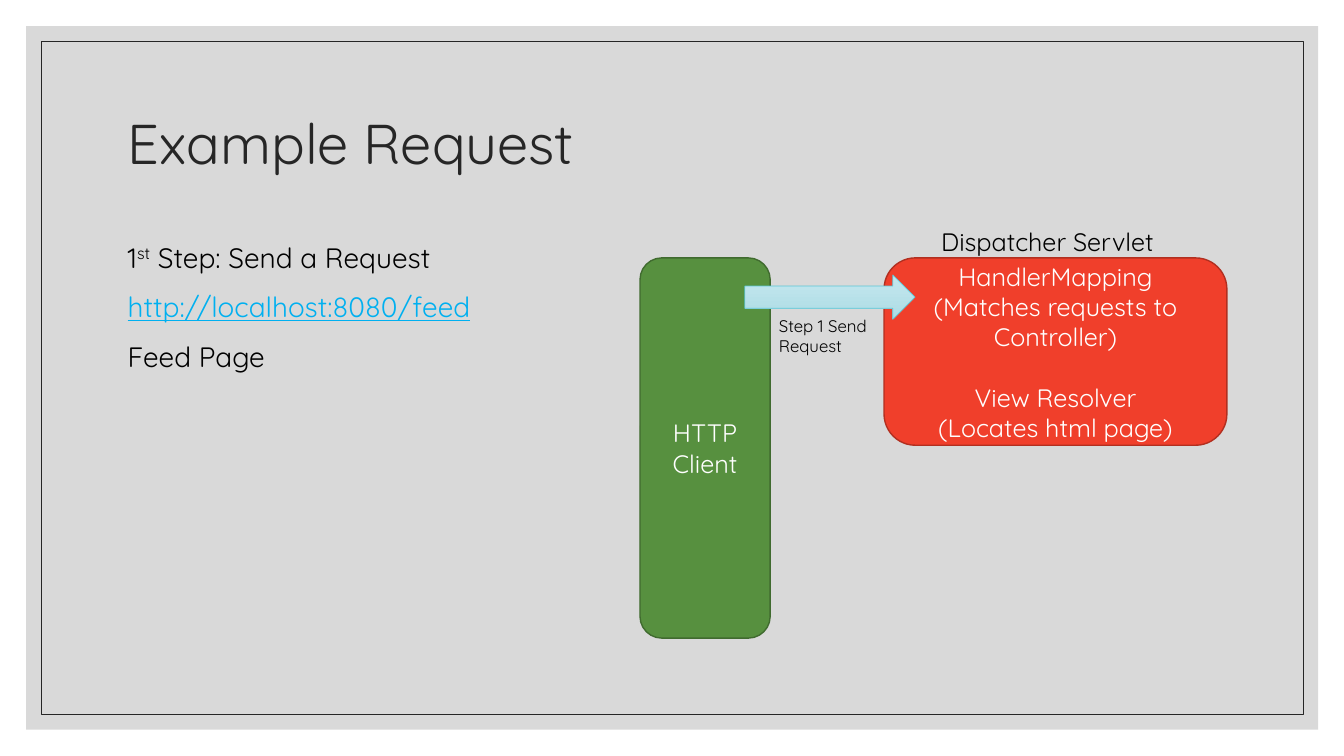
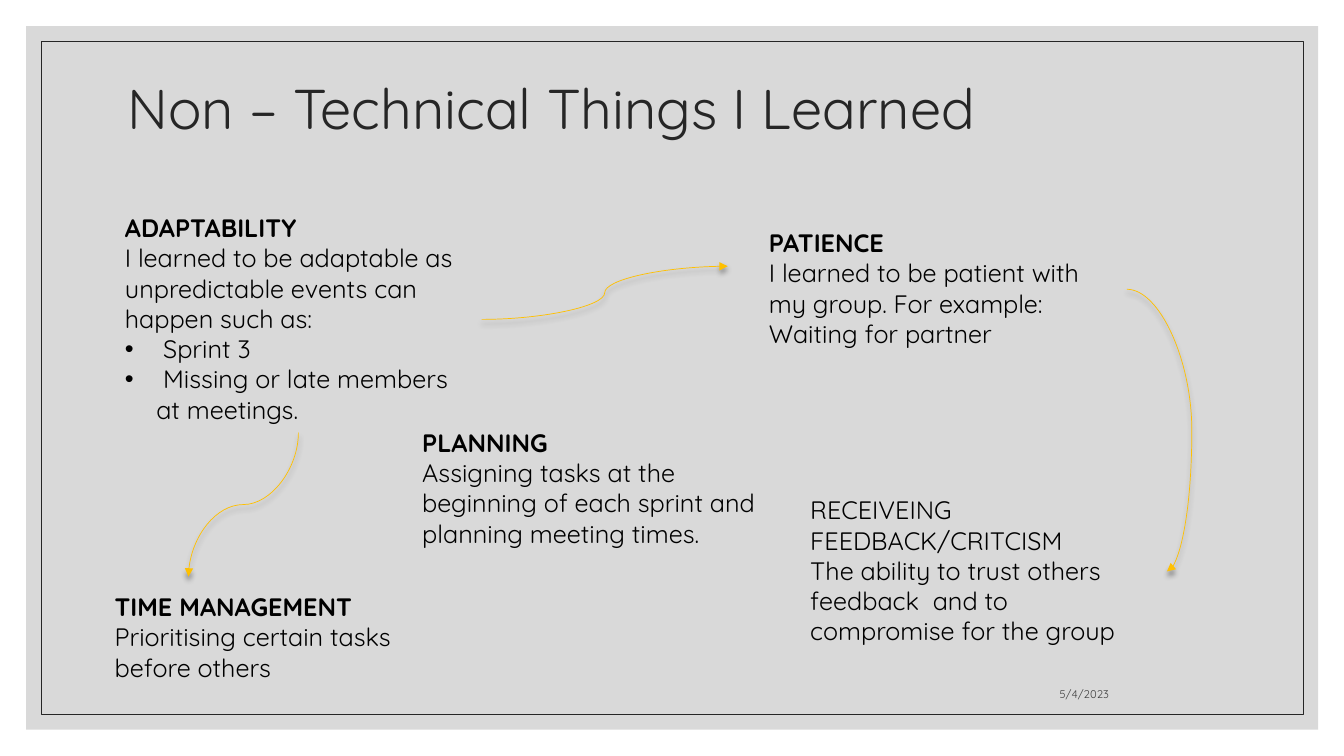
from lxml import etree
from pptx import Presentation
from pptx.dml.color import RGBColor
from pptx.enum import shapes, text
from pptx.oxml import ns, parse_xml
from pptx.util import Cm, Pt

FONT = "Quicksand"
COLORS = {
    "backdrop": "D9D9D9", "frame": "262626", "title": "262626", "text": "000000",
    "date": "404040", "link": "00B0F0", "white": "FFFFFF",
    "client": "57903F", "client_line": "406B2F",
    "servlet": "F03F2B", "servlet_line": "B22F20",
    "arrow_top": "C4E7EE", "arrow_bottom": "ADDCE5", "arrow_line": "5CC6D6",
    "curve": "FFC000",
}
SHADOW = (
    f'<a:effectLst {ns.nsdecls("a")}><a:outerShdw blurRad="50800" dist="38100" dir="5400000" '
    'rotWithShape="0"><a:srgbClr val="000000"><a:alpha val="40000"/></a:srgbClr>'
    '</a:outerShdw></a:effectLst>'
)
NOTE_WIDTH = 9.25


def rgb(name):
    return RGBColor.from_string(COLORS[name])


def style(p, size, color="text", bold=False):
    for r in p.runs:
        r.font.name, r.font.size, r.font.bold = FONT, Pt(size), bold
        r.font.color.rgb = rgb(color)


def fill_text(tf, lines, size, color="text", align=text.PP_ALIGN.LEFT):
    """Write one paragraph per line and return the paragraphs."""
    tf.word_wrap = True
    tf.text = "\n".join(lines)
    for p in tf.paragraphs:
        p.alignment = align
        style(p, size, color)
    return tf.paragraphs


def add_text(slide, box, lines, size, **options):
    sp = slide.shapes.add_textbox(*map(Cm, box))
    fill_text(sp.text_frame, lines, size, **options)
    return sp


def add_box(slide, kind, box, fill=None, line=None, width=1):
    sp = slide.shapes.add_shape(kind, *map(Cm, box))
    sp.shadow.inherit = False
    if fill:
        sp.fill.solid()
        sp.fill.fore_color.rgb = rgb(fill)
    else:
        sp.fill.background()
    if line:
        sp.line.color.rgb = rgb(line)
        sp.line.width = Pt(width)
    else:
        sp.line.fill.background()
    return sp


def add_layout_frame(slide):
    """Put the grey backdrop and thin frame on the slide's layout."""
    rect = shapes.MSO_SHAPE.RECTANGLE
    parts = [
        add_box(slide, rect, (0.66, 0.66, 32.56, 17.73), fill="backdrop"),
        add_box(slide, rect, (1.04, 1.04, 31.8, 16.97), line="frame", width=0.5),
    ]
    for i, sp in enumerate(parts):
        sp.element.nvSpPr.cNvPr.set("id", str(101 + i))
        slide.slide_layout.shapes.element.insert(2 + i, sp.element)


def add_titled_slide(prs, title, top):
    slide = prs.slides.add_slide(prs.slide_layouts[5])
    sp = slide.shapes.title
    sp.left, sp.top, sp.width, sp.height = map(Cm, (2.97, top, 27.94, 3.81))
    tf = sp.text_frame
    tf.auto_size = text.MSO_AUTO_SIZE.NONE
    tf.vertical_anchor = text.MSO_ANCHOR.MIDDLE
    p = fill_text(tf, [title], 40, "title")[0]
    p.line_spacing = 0.9
    return slide


def add_step_text(slide, box):
    sp = add_text(slide, box, ["1", "http://localhost:8080/feed", "Feed Page"], 20)
    step, link, _ = sp.text_frame.paragraphs
    ordinal = step.add_run()
    ordinal.text = "st"
    step.add_run().text = " Step: Send a Request"
    style(step, 20)
    ordinal.font._element.set("baseline", "30000")
    style(link, 20, "link")
    link.runs[0].font.underline = True
    for p in sp.text_frame.paragraphs:
        p.line_spacing, p.space_before = 1.1, Pt(9)


def add_request_diagram(slide, x, y):
    """Draw the client, the servlet and the request between them from (x, y)."""
    rounded = shapes.MSO_SHAPE.ROUNDED_RECTANGLE
    nodes = [
        ("client", (x, y + 0.91, 3.28, 9.58), ["HTTP Client"]),
        ("servlet", (x + 6.15, y + 0.91, 8.64, 4.72),
         ["HandlerMapping\v(Matches requests to Controller)",
          "View Resolver", "(Locates html page)"]),
    ]
    for name, box, lines in nodes:
        sp = add_box(slide, rounded, box, name, f"{name}_line")
        sp.text_frame.vertical_anchor = text.MSO_ANCHOR.MIDDLE
        paragraphs = fill_text(sp.text_frame, lines, 18, "white", text.PP_ALIGN.CENTER)
        if len(paragraphs) > 1:
            paragraphs[1].space_before = Pt(21.6)

    add_text(slide, (x + 7.34, y, 6.22, 1.02), ["Dispatcher Servlet"], 18)
    arrow = add_box(slide, shapes.MSO_SHAPE.RIGHT_ARROW, (x + 2.64, y + 1.34, 4.29, 1.12),
                    line="arrow_line", width=0.5)
    arrow.fill.gradient()
    arrow.fill.gradient_angle = 270
    for stop, name in zip(arrow.fill.gradient_stops, ("arrow_top", "arrow_bottom")):
        stop.color.rgb = rgb(name)
    add_text(slide, (x + 3.25, y + 2.23, 2.9, 1.8), ["Step 1 Send Request"], 12)


def add_note(slide, x, y, height, heading, lines, bold=True, bullets=0):
    """Add a heading with lines below it, the last ones bulleted."""
    sp = add_text(slide, (x, y, NOTE_WIDTH, height), [heading, *lines], 18)
    paragraphs = sp.text_frame.paragraphs
    style(paragraphs[0], 18, bold=bold)
    for p in paragraphs[len(paragraphs) - bullets:]:
        pPr = p._p.get_or_add_pPr()
        pPr.set("marL", str(Cm(0.79)))
        pPr.set("indent", str(-Cm(0.79)))
        etree.SubElement(pPr, ns.qn("a:buFont"), typeface="Arial")
        etree.SubElement(pPr, ns.qn("a:buChar"), char="•")


def add_curve(slide, ends, bend=0.5, turn=0):
    """Add a curved arrow; bend places its middle, turn rotates it in degrees."""
    line = slide.shapes.add_connector(shapes.MSO_CONNECTOR.CURVE, *map(Cm, ends))
    line.line.color.rgb = rgb("curve")
    line.line.width = Pt(0.5)
    spPr = line.element.spPr
    if turn:
        spPr.find(ns.qn("a:xfrm")).set("rot", str(turn * 60000))
    guides = spPr.find(ns.qn("a:prstGeom")).find(ns.qn("a:avLst"))
    etree.SubElement(guides, ns.qn("a:gd"), name="adj1", fmla=f"val {round(bend * 100000)}")
    etree.SubElement(spPr.find(ns.qn("a:ln")), ns.qn("a:tailEnd"), type="triangle")
    spPr.append(parse_xml(SHADOW))


def add_lessons(slide, x, y):
    """Place the five lessons and the arrows between them from (x, y)."""
    notes = [
        (0.26, 0, 5.64, "ADAPTABILITY",
         ["I learned to be adaptable as unpredictable events can happen such as:",
          " Sprint 3", " Missing or late members at meetings."], True, 2),
        (16.49, 0.38, 3.33, "PATIENCE",
         ["I learned to be patient with my group. For example:", "Waiting for partner"]),
        (0, 9.55, 2.57, "TIME MANAGEMENT", ["Prioritising certain tasks before others"]),
        (17.53, 7.11, 4.11, "RECEIVEING FEEDBACK/CRITCISM",
         ["The ability to trust others feedback  and to compromise for the group"], False),
        (7.75, 5.41, 4.11, "PLANNING",
         ["Assigning tasks at the beginning of each sprint and planning meeting times."]),
    ]
    for dx, dy, *content in notes:
        add_note(slide, x + dx, y + dy, *content)

    curves = [
        ((9.5, 2.82, 15.7, 1.48), 0.5, 0),
        ((25.76, 2.06, 26.77, 9.17), 1.62, 0),
        ((1.68, 6.1, 5.31, 8.87), 0.5, 90),
    ]
    for (x1, y1, x2, y2), bend, turn in curves:
        add_curve(slide, (x + x1, y + y1, x + x2, y + y2), bend, turn)


def add_date(slide, box):
    sp = add_text(slide, box, ["5/4/2023"], 8, color="date", align=text.PP_ALIGN.RIGHT)
    sp.text_frame.vertical_anchor = text.MSO_ANCHOR.BOTTOM


def main():
    prs = Presentation()
    prs.slide_width, prs.slide_height = Cm(33.87), Cm(19.05)

    request = add_titled_slide(prs, "Example Request", 1.78)
    add_layout_frame(request)
    add_step_text(request, (2.97, 5.84, 12, 10.69))
    add_request_diagram(request, 16.13, 5.59)

    lessons = add_titled_slide(prs, "Non – Technical Things I Learned", 0.89)
    add_lessons(lessons, 2.64, 5.23)
    add_date(lessons, (20.17, 16.76, 8.03, 1.02))

    prs.save("out.pptx")


if __name__ == "__main__":
    main()
